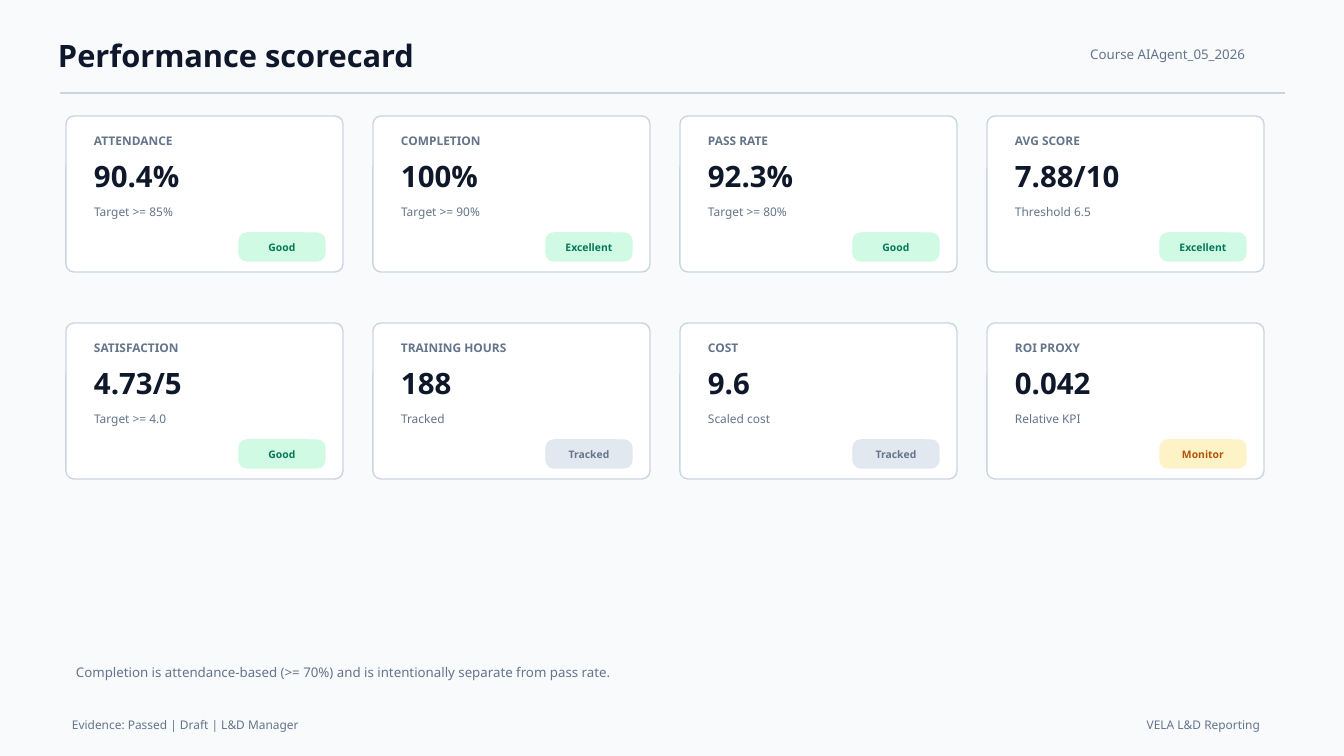
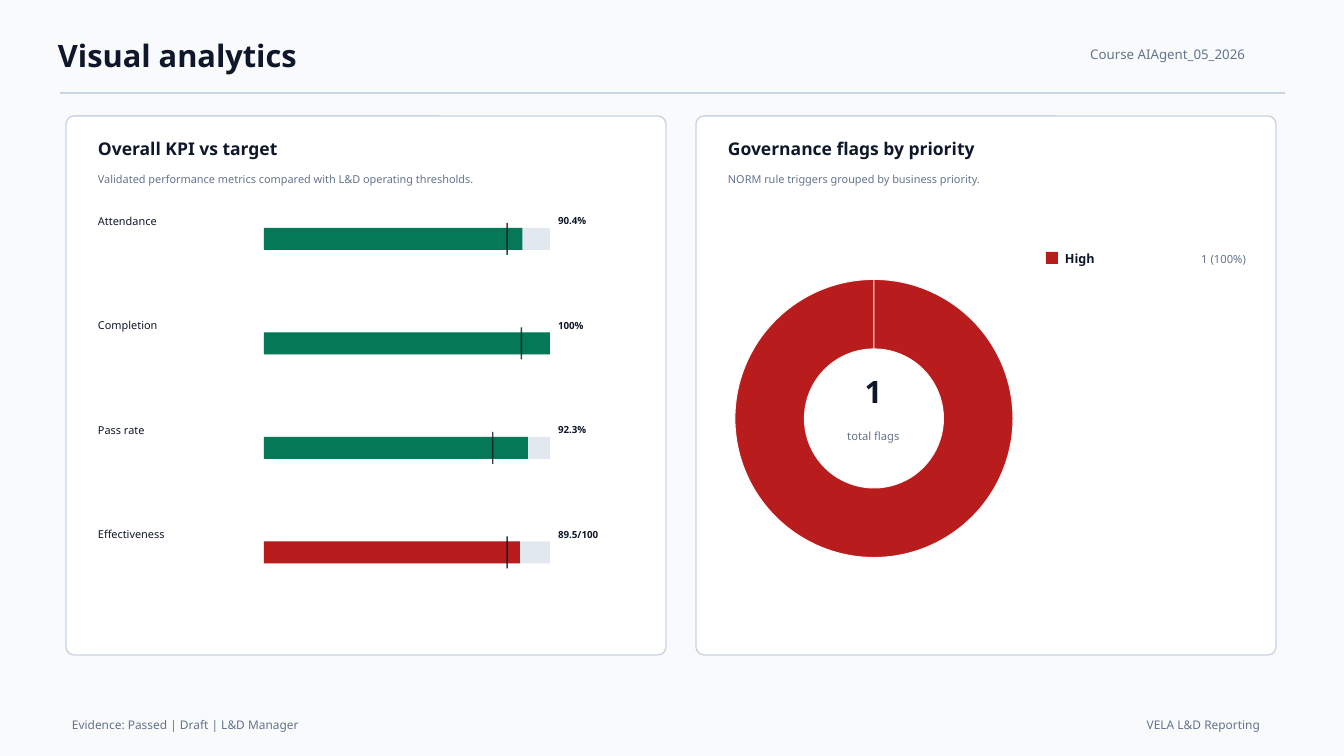
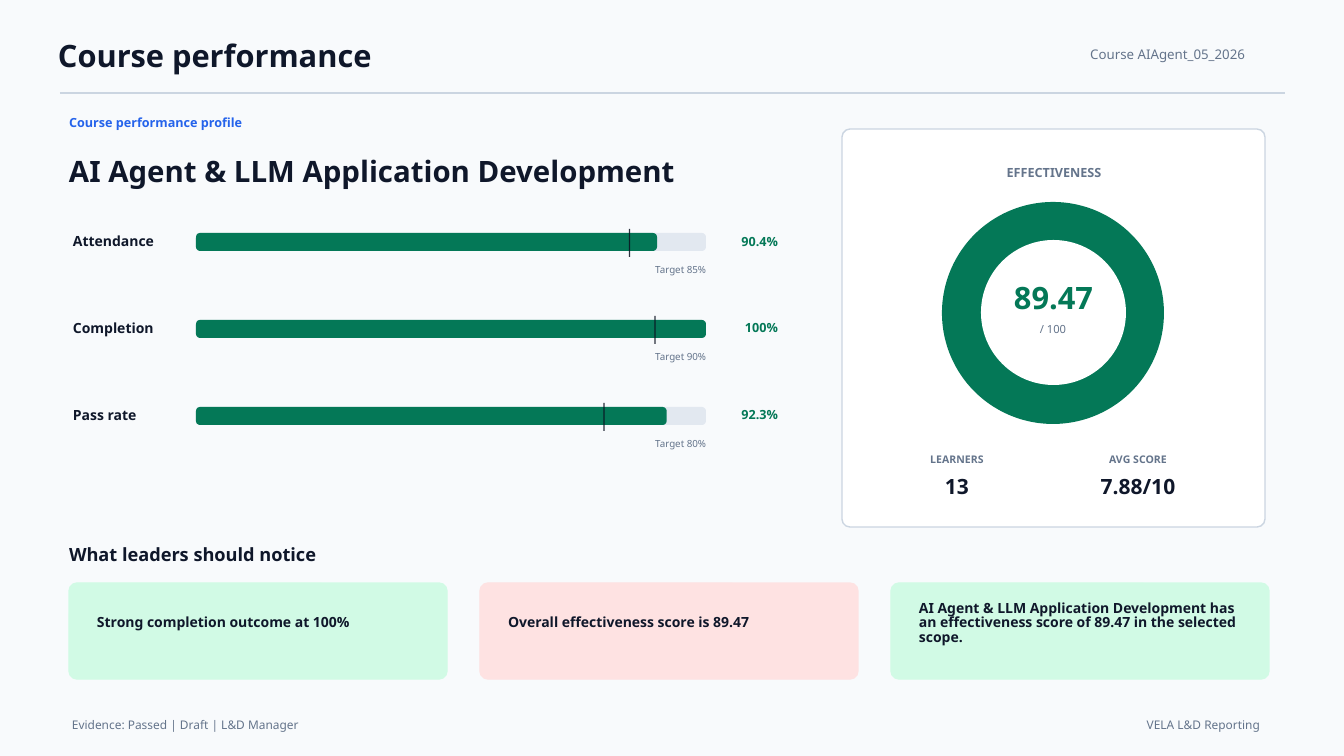
from lxml import etree
from pptx import Presentation
from pptx.chart.data import CategoryChartData
from pptx.dml.color import RGBColor
from pptx.enum.chart import XL_CHART_TYPE
from pptx.enum.shapes import MSO_CONNECTOR, MSO_SHAPE
from pptx.enum.text import MSO_ANCHOR, PP_ALIGN
from pptx.oxml.ns import qn
from pptx.util import Pt

# ---------- Content ----------
COURSE = "Course AIAgent_05_2026"
EVIDENCE = "Evidence: Passed | Draft | L&D Manager"
REPORT = "VELA L&D Reporting"

SCORECARD = [  # label, value, note, status
    ("ATTENDANCE", "90.4%", "Target >= 85%", "Good"),
    ("COMPLETION", "100%", "Target >= 90%", "Excellent"),
    ("PASS RATE", "92.3%", "Target >= 80%", "Good"),
    ("AVG SCORE", "7.88/10", "Threshold 6.5", "Excellent"),
    ("SATISFACTION", "4.73/5", "Target >= 4.0", "Good"),
    ("TRAINING HOURS", "188", "Tracked", "Tracked"),
    ("COST", "9.6", "Scaled cost", "Tracked"),
    ("ROI PROXY", "0.042", "Relative KPI", "Monitor"),
]
STATUS_STYLE = {  # status: fill, text
    "Good": ("mint", "green"),
    "Excellent": ("mint", "green"),
    "Tracked": ("track", "muted"),
    "Monitor": ("cream", "amber"),
}
SCORE_NOTE = ("Completion is attendance-based (>= 70%) and is intentionally "
              "separate from pass rate.")

PANELS = [  # left, width, heading, subheading
    (66, 600, "Overall KPI vs target",
     "Validated performance metrics compared with L&D operating thresholds."),
    (696, 580, "Governance flags by priority",
     "NORM rule triggers grouped by business priority."),
]
COURSE_KPIS = [  # label, percent, shown value, target
    ("Attendance", 90.4, "90.4%", 85),
    ("Completion", 100, "100%", 90),
    ("Pass rate", 92.3, "92.3%", 80),
]
EFFECTIVENESS_KPI = ("Effectiveness", 89.5, "89.5/100", 85)
FLAGS = [("High", 100, "1 (100%)", "red")]

COURSE_STATS = [("LEARNERS", "13"), ("AVG SCORE", "7.88/10")]
NOTICES = [
    ("Strong completion outcome at 100%", "mint"),
    ("Overall effectiveness score is 89.47", "rose"),
    ("AI Agent & LLM Application Development has an effectiveness score "
     "of 89.47 in the selected scope.", "mint"),
]

# ---------- Shared style ----------
COLORS = {
    "page": "F8FAFC", "white": "FFFFFF", "ink": "0F172A", "muted": "64748B",
    "border": "CBD5E1", "track": "E2E8F0", "green": "047857", "mint": "D1FAE5",
    "red": "B91C1C", "rose": "FEE2E2", "amber": "B45309", "cream": "FEF3C7",
    "blue": "2563EB", "marker": "0B1220", "edge": "F9F9F9",
}
FONT = "Noto Sans"
EMU_PER_PX = 914400 / 100.8
INSET = 10
CORNER, BAR_CORNER = 8, 4
LEFT, CENTER, RIGHT = PP_ALIGN.LEFT, PP_ALIGN.CENTER, PP_ALIGN.RIGHT


def px(length):
    return round(length * EMU_PER_PX)


def rgb(name):
    return RGBColor.from_string(COLORS[name])


# ---------- Drawing helpers ----------
def write(shape, words, size, color, bold, align, inset, spacing=None):
    frame = shape.text_frame
    frame.word_wrap = True
    frame.vertical_anchor = MSO_ANCHOR.MIDDLE
    frame.margin_left = frame.margin_right = px(inset)
    frame.margin_top = frame.margin_bottom = px(inset / 2)
    paragraph = frame.paragraphs[0]
    paragraph.alignment = align
    if spacing:
        paragraph.line_spacing = spacing
    run = paragraph.add_run()
    run.text = words
    run.font.name, run.font.size, run.font.bold = FONT, Pt(size), bold
    run.font.color.rgb = rgb(color)


def text(slide, box, words, size, color="ink", bold=False, align=LEFT,
         inset=0, spacing=None):
    area = slide.shapes.add_textbox(*map(px, box))
    write(area, words, size, color, bold, align, inset, spacing)


def block(slide, box, fill, border=None, corner=0, kind=None):
    kind = kind or (MSO_SHAPE.ROUNDED_RECTANGLE if corner else MSO_SHAPE.RECTANGLE)
    shape = slide.shapes.add_shape(kind, *map(px, box))
    shape.shadow.inherit = False
    if corner:
        shape.adjustments[0] = corner / min(box[2:])
    shape.fill.solid()
    shape.fill.fore_color.rgb = rgb(fill)
    if border:
        shape.line.color.rgb = rgb(border)
        shape.line.width = Pt(1)
    else:
        shape.line.fill.background()
    return shape


def card(slide, box):
    block(slide, box, "white", "border", CORNER)


def rule(slide, x1, y1, x2, y2, color, opacity=100):
    line = slide.shapes.add_connector(MSO_CONNECTOR.STRAIGHT,
                                      *map(px, (x1, y1, x2, y2)))
    line.line.color.rgb = rgb(color)
    line.line.width = Pt(1)
    properties = line.element.spPr
    etree.SubElement(properties, qn("a:effectLst"))
    if opacity < 100:
        tint = properties.find(".//" + qn("a:srgbClr"))
        etree.SubElement(tint, qn("a:alpha"), val=str(opacity * 1000))


def target_bar(slide, box, percent, target, color, corner, marker, opacity):
    """Track, filled share and target tick; marker is the tick's top and bottom offset."""
    left, top, width, height = box
    block(slide, box, "track", corner=corner)
    block(slide, (left, top, width * percent / 100, height), color, corner=corner)
    x = left + width * target / 100
    rule(slide, x, top + marker[0], x, top + marker[1], "marker", opacity)


def new_slide(prs, title):
    slide = prs.slides.add_slide(prs.slide_layouts[6])
    slide.background.fill.solid()
    slide.background.fill.fore_color.rgb = rgb("page")
    text(slide, (58, 35, 756, 40), title, 22, bold=True)
    text(slide, (857, 42, 398, 25), COURSE, 9.5, "muted", align=RIGHT, inset=INSET)
    rule(slide, 60, 93, 1285, 93, "border")
    text(slide, (62, 714, 766, 22), EVIDENCE, 8.5, "muted", inset=INSET)
    text(slide, (1043, 714, 227, 22), REPORT, 8.5, "muted", align=RIGHT, inset=INSET)
    return slide


# ---------- Slide 1: scorecard ----------
def scorecard_slide(prs):
    slide = new_slide(prs, "Performance scorecard")
    for i, (label, value, note, status) in enumerate(SCORECARD):
        row, column = divmod(i, 4)
        x, y = 66 + 307 * column, 116 + 207 * row
        card(slide, (x, y, 277, 156))
        text(slide, (x + 18, y + 16, 242, 18), label, 8.5, "muted", True, inset=INSET)
        text(slide, (x + 18, y + 42, 242, 36), value, 21, bold=True, inset=INSET)
        text(slide, (x + 18, y + 87, 161, 18), note, 8.5, "muted", inset=INSET)
        fill, color = STATUS_STYLE[status]
        badge = block(slide, (x + 173, y + 117, 86, 28), fill, fill, CORNER)
        write(badge, status, 7.4, color, True, CENTER, 0)
    text(slide, (66, 660, 1089, 25), SCORE_NOTE, 9.5, "muted", inset=INSET)


# ---------- Slide 2: analytics ----------
def flags_doughnut(slide, box):
    data = CategoryChartData()
    data.categories = [flag[0] for flag in FLAGS]
    data.add_series("Series 1", [flag[1] for flag in FLAGS])
    chart = slide.shapes.add_chart(XL_CHART_TYPE.DOUGHNUT, *map(px, box), data).chart
    chart.has_title = chart.has_legend = False
    chart.font.name, chart.font.size = FONT, Pt(10)
    chart.font.color.rgb = rgb("ink")
    plot = chart.plots[0]
    plot.vary_by_categories = True
    plot.has_data_labels = False
    for i, flag in enumerate(FLAGS):
        form = plot.series[0].points[i].format
        form.fill.solid()
        form.fill.fore_color.rgb = rgb(flag[3])
        form.line.color.rgb = rgb("edge")
        form.line.width = Pt(0.75)
    chart.element.find(".//" + qn("c:holeSize")).set("val", "68")


def analytics_slide(prs):
    slide = new_slide(prs, "Visual analytics")
    for x, width, heading, subheading in PANELS:
        card(slide, (x, 116, width, 539))
        text(slide, (x + 22, 136, width - 44, 24), heading, 12.5, bold=True, inset=INSET)
        text(slide, (x + 22, 168, width - 44, 22), subheading, 7.8, "muted", inset=INSET)

    # KPI bars
    for i, kpi in enumerate(COURSE_KPIS + [EFFECTIVENESS_KPI]):
        label, percent, shown, target = kpi
        y = 228 + 104.5 * i
        text(slide, (88, y - 16, 166, 18), label, 7.8, inset=INSET)
        color = "red" if kpi is EFFECTIVENESS_KPI else "green"
        target_bar(slide, (264, y, 286, 22), percent, target, color, 0, (-5, 27), 80)
        text(slide, (558, y - 17, 83, 20), shown, 7, bold=True)

    # Flags doughnut and its key
    flags_doughnut(slide, (721, 212, 306, 413))
    text(slide, (809, 372, 129, 38), "1", 22, bold=True, align=CENTER)
    text(slide, (797, 426, 153, 20), "total flags", 8, "muted", align=CENTER)
    for label, _, count, color in FLAGS:
        block(slide, (1046, 252, 12, 12), color)
        text(slide, (1065, 249, 109, 20), label, 9, bold=True)
        text(slide, (1173, 249, 73, 20), count, 8, "muted", align=RIGHT)


# ---------- Slide 3: course ----------
def course_slide(prs):
    slide = new_slide(prs, "Course performance")
    text(slide, (69, 113, 323, 20), "Course performance profile", 9, "blue", True)
    text(slide, (69, 143, 731, 55), "AI Agent & LLM Application Development", 21,
         bold=True)

    # KPI bars
    for i, (label, percent, shown, target) in enumerate(COURSE_KPIS):
        y = 233 + 87 * i
        text(slide, (73, y - 3, 111, 22), label, 10, bold=True)
        target_bar(slide, (196, y, 510, 18), percent, target, "green",
                   BAR_CORNER, (-4, 24), 85)
        text(slide, (716, y - 3, 62, 22), shown, 9, "green", True, RIGHT)
        text(slide, (196, y + 29, 510, 15), f"Target {target}%", 7, "muted", align=RIGHT)

    # Effectiveness ring
    card(slide, (842, 129, 423, 398))
    text(slide, (875, 163, 358, 20), "EFFECTIVENESS", 9, "muted", True, CENTER)
    block(slide, (942, 202, 222, 222), "green", kind=MSO_SHAPE.OVAL)
    block(slide, (981, 240, 145, 145), "white", kind=MSO_SHAPE.OVAL)
    text(slide, (981, 276, 145, 42), "89.47", 22, "green", True, CENTER)
    text(slide, (995, 320, 116, 18), "/ 100", 8, "muted", align=CENTER)
    for i, (label, value) in enumerate(COURSE_STATS):
        x = 879 + 181 * i
        text(slide, (x, 452, 156, 14), label, 7.5, "muted", True, CENTER)
        text(slide, (x, 472, 156, 28), value, 15, bold=True, align=CENTER)

    # Notices
    text(slide, (69, 542, 343, 25), "What leaders should notice", 13, bold=True)
    for i, (words, fill) in enumerate(NOTICES):
        x = 69 + 411 * i
        block(slide, (x, 583, 378, 96), fill, fill, CORNER)
        text(slide, (x + 18, 601, 338, 45), words, 10, bold=True, inset=INSET,
             spacing=0.87)


# ---------- Build ----------
prs = Presentation()
prs.slide_width, prs.slide_height = px(1344), px(756)
scorecard_slide(prs)
analytics_slide(prs)
course_slide(prs)
prs.save("out.pptx")
